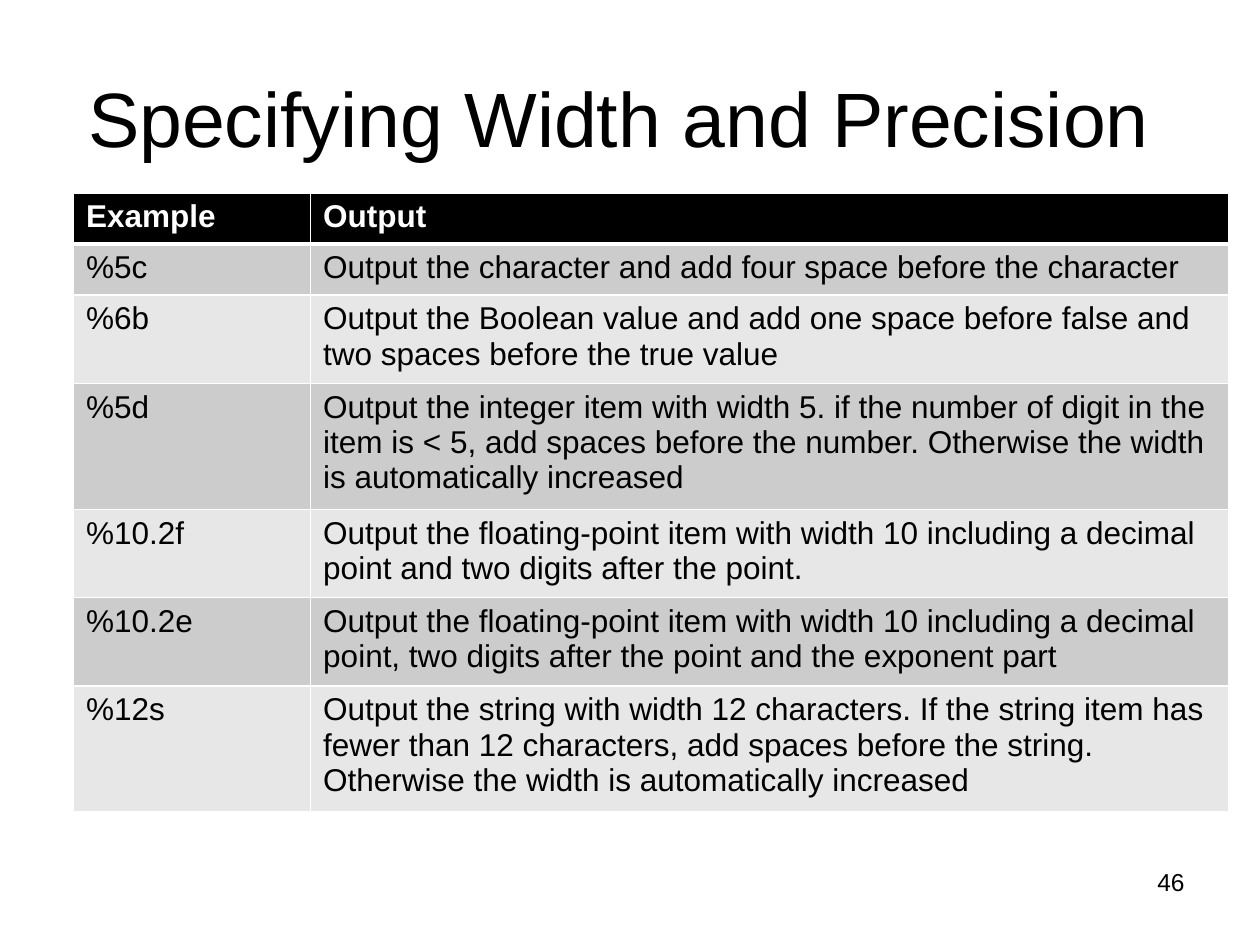
from dataclasses import dataclass

import lxml.etree
import pptx
import pptx.dml.color
import pptx.enum.text
import pptx.oxml.ns
import pptx.util

Pt = pptx.util.Pt
RGB = pptx.dml.color.RGBColor.from_string
ALIGN = pptx.enum.text.PP_ALIGN
ANCHOR = pptx.enum.text.MSO_ANCHOR
qn = pptx.oxml.ns.qn


@dataclass(frozen=True)
class Theme:
    font: str = "Arial"
    ink: str = "000000"
    paper: str = "FFFFFF"
    bands: tuple = ("CCCCCC", "E7E7E7")
    title_size: float = 44
    body_size: float = 18
    number_size: float = 14
    rule: float = 1
    header_rule: float = 3


THEME = Theme()

ROWS = [
    ("Example", "Output"),
    ("%5c", "Output the character and add four space before the character"),
    ("%6b", "Output the Boolean value and add one space before false and "
            "two spaces before the true value"),
    ("%5d", "Output the integer item with width 5. if the number of digit in the "
            "item is < 5, add spaces before the number. Otherwise the width "
            "is automatically increased"),
    ("%10.2f", "Output the floating-point item with width 10 including a decimal "
               "point and two digits after the point."),
    ("%10.2e", "Output the floating-point item with width 10 including a decimal "
               "point, two digits after the point and the exponent part"),
    ("%12s", "Output the string with width 12 characters. If the string item has "
             "fewer than 12 characters, add spaces before the string. "
             "Otherwise the width is automatically increased"),
]
LINES = (1, 1, 2, 3, 2, 2, 3)
ROW_HEIGHTS = {1: 29.2, 2: 50.4, 3: 72}
FIRST_COLUMN = 135.5


def write(tf, text, size, color, bold=False, align=ALIGN.LEFT):
    tf.text = text
    p = tf.paragraphs[0]
    p.alignment = align
    font = p.runs[0].font
    font.name = THEME.font
    font.size = Pt(size)
    font.bold = bold
    font.color.rgb = RGB(color)


def add_label(slide, box, text, size, align, anchor):
    sp = slide.shapes.add_textbox(*map(Pt, box))
    tf = sp.text_frame
    tf.word_wrap = True
    tf.vertical_anchor = anchor
    write(tf, text, size, THEME.ink, align=align)


def add_title(slide, box):
    add_label(slide, box, "Specifying Width and Precision ", THEME.title_size,
              ALIGN.CENTER, ANCHOR.MIDDLE)


def add_page_number(slide, box):
    add_label(slide, box, "46", THEME.number_size, ALIGN.RIGHT, ANCHOR.TOP)


def set_borders(cell, top, bottom):
    tc_pr = cell._tc.get_or_add_tcPr()
    widths = {"L": THEME.rule, "R": THEME.rule, "T": top, "B": bottom}
    for side, width in widths.items():
        ln = lxml.etree.SubElement(tc_pr, qn(f"a:ln{side}"), w=str(Pt(width)))
        fill = lxml.etree.SubElement(ln, qn("a:solidFill"))
        lxml.etree.SubElement(fill, qn("a:srgbClr"), val=THEME.paper)


def add_format_table(slide, box):
    heights = [ROW_HEIGHTS[n] for n in LINES]
    left, top, width = box
    frame = slide.shapes.add_table(len(ROWS), 2, Pt(left), Pt(top),
                                   Pt(width), Pt(sum(heights)))
    table = frame.table
    for column, w in zip(table.columns, (FIRST_COLUMN, width - FIRST_COLUMN)):
        column.width = Pt(w)
    for i, (texts, height) in enumerate(zip(ROWS, heights)):
        table.rows[i].height = Pt(height)
        header = i == 0
        color = THEME.paper if header else THEME.ink
        background = THEME.ink if header else THEME.bands[(i - 1) % 2]
        above = THEME.header_rule if i == 1 else THEME.rule
        below = THEME.header_rule if header else THEME.rule
        for j, text in enumerate(texts):
            cell = table.cell(i, j)
            write(cell.text_frame, text, THEME.body_size, color, bold=header)
            set_borders(cell, above, below)
            cell.fill.solid()
            cell.fill.fore_color.rgb = RGB(background)


def main():
    prs = pptx.Presentation()
    prs.slide_width, prs.slide_height = Pt(720), Pt(540)
    slide = prs.slides.add_slide(prs.slide_layouts[6])
    add_title(slide, (36, 21.6, 648, 90))
    add_page_number(slide, (516, 491.75, 168, 37.5))
    add_format_table(slide, (42, 110.25, 660))
    prs.save("out.pptx")


if __name__ == "__main__":
    main()
